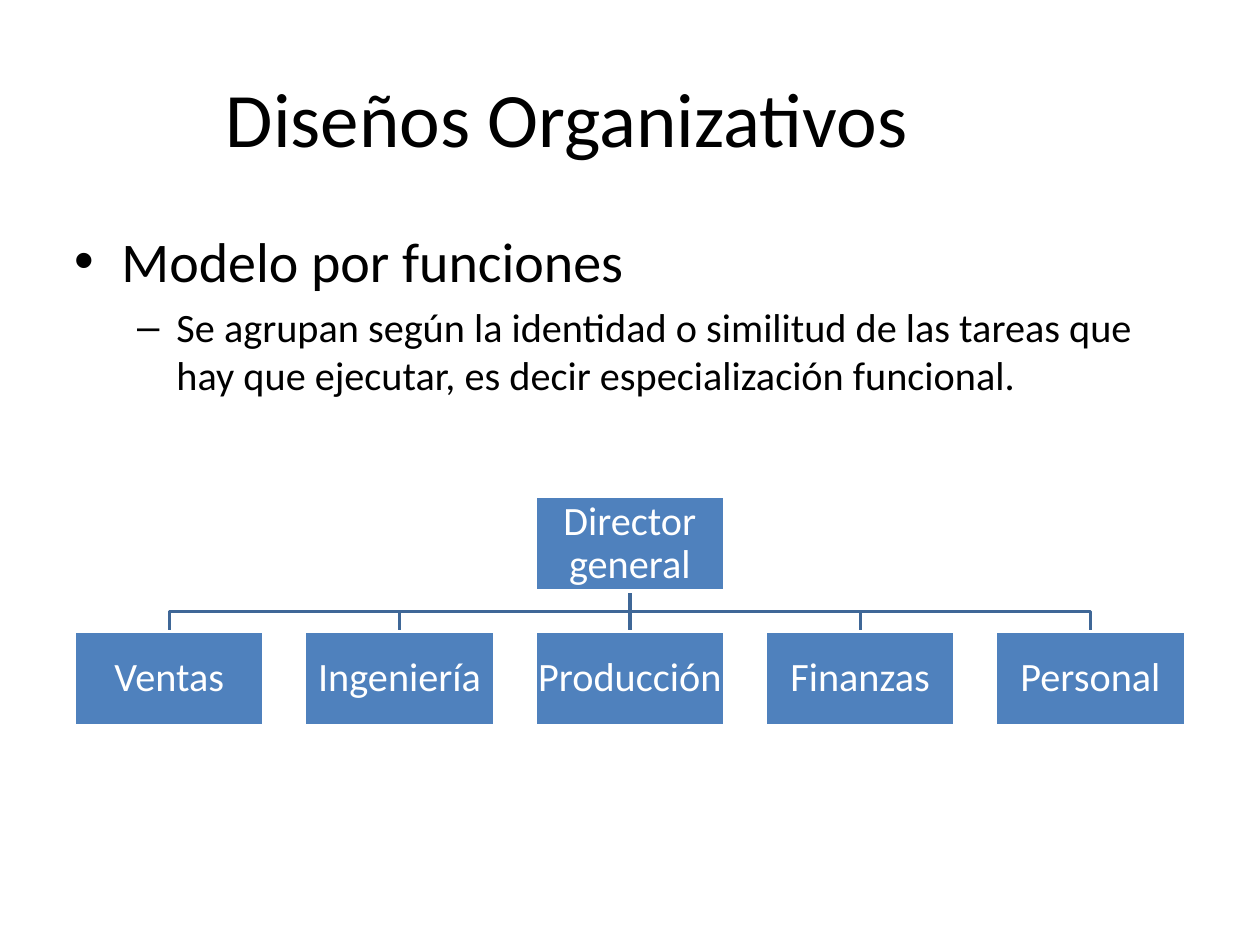
from pptx import Presentation
from pptx.dml.color import RGBColor
from pptx.enum.shapes import MSO_CONNECTOR, MSO_SHAPE
from pptx.enum.text import MSO_ANCHOR, PP_ALIGN
from pptx.oxml.ns import qn
from pptx.util import Pt
from lxml import etree

RECT = MSO_SHAPE.RECTANGLE
LINE = MSO_CONNECTOR.STRAIGHT
MID, TOP = MSO_ANCHOR.MIDDLE, MSO_ANCHOR.TOP
CENTER, LEFT = PP_ALIGN.CENTER, PP_ALIGN.LEFT
BLACK = RGBColor(0, 0, 0)
WHITE = RGBColor(255, 255, 255)
BLUE = RGBColor(0x4F, 0x81, 0xBD)
NAVY = RGBColor(0x3F, 0x67, 0x97)


class Deck:
    font = "Calibri"
    stroke = 2

    def __init__(self, wide, high):
        self.prs = Presentation()
        self.prs.slide_width, self.prs.slide_height = Pt(wide), Pt(high)
        self.slide = self.prs.slides.add_slide(self.prs.slide_layouts[6])
        self.shapes = self.slide.shapes

    def style(self, item, **vals):
        for key, val in vals.items():
            setattr(item, key, val)

    def label(self, para, text, size, color, **form):
        para.text = text
        self.style(para, **form)
        self.style(para.font, name=self.font, size=Pt(size))
        para.font.color.rgb = color

    def pen(self, shape, color):
        shape.line.color.rgb = color
        shape.line.width = Pt(self.stroke)

    def text(self, x, y, w, h, anchor):
        frame = self.shapes.add_textbox(Pt(x), Pt(y), Pt(w), Pt(h)).text_frame
        self.style(frame, word_wrap=True, vertical_anchor=anchor)
        return frame

    def bullet(self, para, mark, left, hang):
        props = para._p.get_or_add_pPr()
        props.set("marL", str(Pt(left)))
        props.set("indent", str(Pt(-hang)))
        etree.SubElement(props, qn("a:buFont")).set("typeface", "Arial")
        etree.SubElement(props, qn("a:buChar")).set("char", mark)

    def box(self, x, y, w, h, text):
        shape = self.shapes.add_shape(RECT, Pt(x), Pt(y), Pt(w), Pt(h))
        shape.shadow.inherit = False
        shape.fill.solid()
        shape.fill.fore_color.rgb = BLUE
        self.pen(shape, WHITE)
        frame = shape.text_frame
        sides = ("left", "right", "top", "bottom")
        self.style(frame, word_wrap=True, vertical_anchor=MID,
                   **{f"margin_{side}": Pt(1) for side in sides})
        self.label(frame.paragraphs[0], text, 23, WHITE,
                   alignment=CENTER, line_spacing=0.9)
        return shape

    def back(self, shape):
        self.shapes._spTree.insert(2, shape._element)

    def elbow(self, top, end):
        x, y = top.left + top.width // 2, top.top + top.height
        tip = end.left + end.width // 2
        half = (y + end.top) // 2
        route = self.shapes.build_freeform(x, y)
        route.add_line_segments([(x, half), (tip, half), (tip, end.top)],
                                close=False)
        shape = route.convert_to_shape()
        shape.shadow.inherit = False
        shape.fill.background()
        self.pen(shape, NAVY)
        self.back(shape)

    def link(self, top, end):
        line = self.shapes.add_connector(LINE, 0, 0, 0, 0)
        line.begin_connect(top, 2)
        line.end_connect(end, 0)
        self.pen(line, NAVY)
        etree.SubElement(line._element.spPr, qn("a:effectLst"))
        self.back(line)


def main():
    deck = Deck(720, 540)

    # Body
    body = deck.text(35.3, 126, 648, 360, TOP)
    points = [
        ("Modelo por funciones", 32, "•", 27, 27, 0),
        ("Se agrupan según la identidad o similitud de las tareas que hay "
         "que ejecutar, es decir especialización funcional.",
         23, "–", 58.5, 22.5, 4.6),
    ]
    for i, (text, size, mark, left, hang, gap) in enumerate(points):
        para = body.add_paragraph() if i else body.paragraphs[0]
        deck.bullet(para, mark, left, hang)
        deck.label(para, text, size, BLACK, alignment=LEFT,
                   space_before=Pt(gap))

    # Title
    title = deck.text(0, 21.6, 648, 90, MID)
    deck.label(title.paragraphs[0], "Diseños Organizativos", 44, BLACK,
               alignment=CENTER)

    # Organisation chart
    wide, high, step, mid = 108.5, 54, 131.6, 360
    left = mid - wide / 2
    chief = deck.box(left, 283.8, wide, high, "Director general")
    areas = ["Ventas", "Ingeniería", "Producción", "Finanzas", "Personal"]
    for i, name in enumerate(areas):
        shift = i - len(areas) // 2
        area = deck.box(left + shift * step, 360.9, wide, high, name)
        if shift:
            deck.elbow(chief, area)
        else:
            deck.link(chief, area)

    deck.prs.save("out.pptx")


if __name__ == "__main__":
    main()
